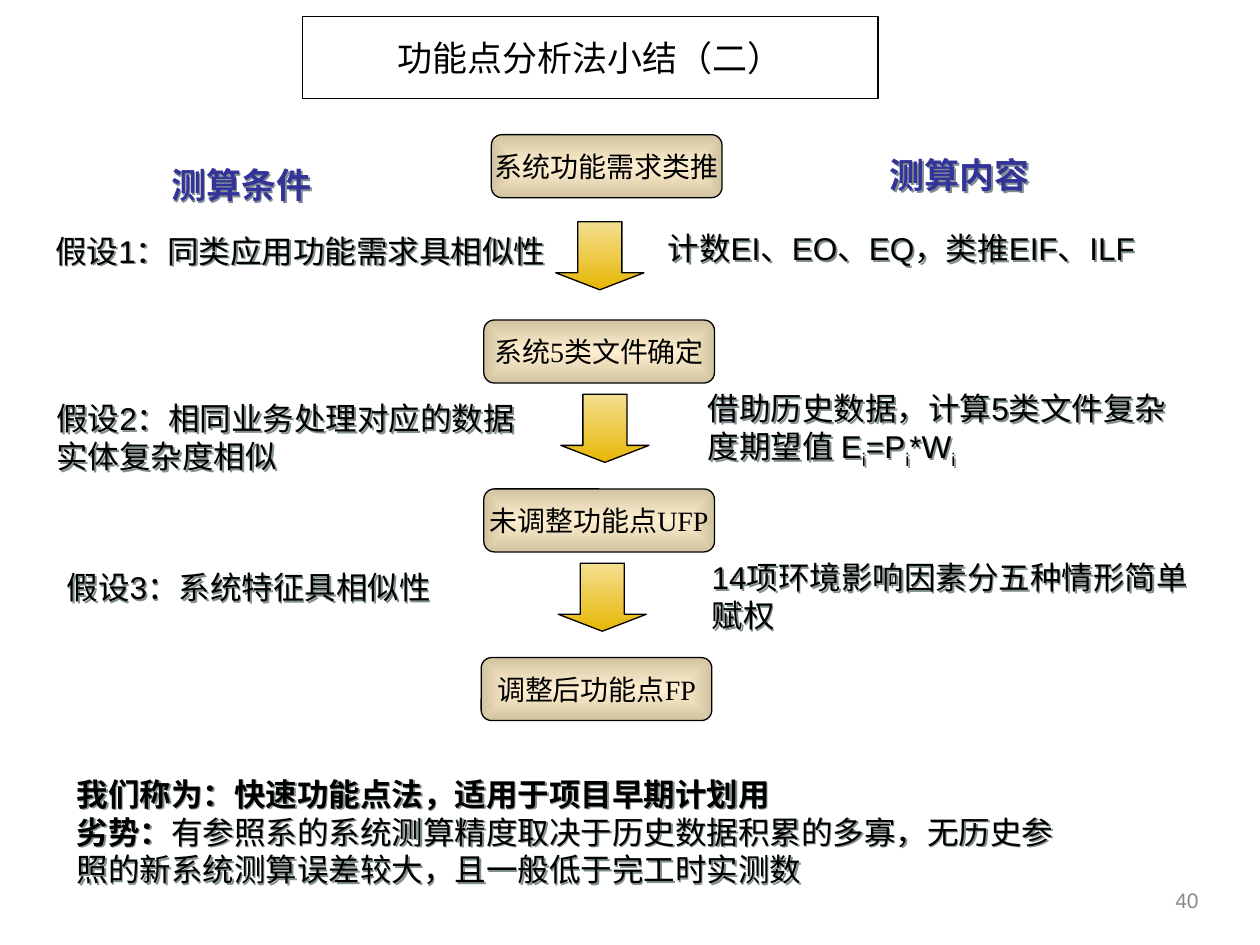
import pptx
import pptx.util
import pptx.oxml
import pptx.dml.color
import pptx.enum.shapes
import pptx.enum.text

Pt = pptx.util.Pt
SHAPES = pptx.enum.shapes.MSO_SHAPE
ALIGN = pptx.enum.text.PP_ALIGN
ANCHOR = pptx.enum.text.MSO_ANCHOR
AUTO_SIZE = pptx.enum.text.MSO_AUTO_SIZE
DRAWING = "http://schemas.openxmlformats.org/drawingml/2006/main"

THEME = {
    "ink": "000000", "heading": "333399", "number": "898989", "paper": "FFFFFF",
    "shadow": "808F8F",
    "step": ("FFEFD1", "D1C39F"), "arrow": ("F4DF91", "E7B705"),
    "body_font": "Arial", "step_font": "Times New Roman", "chinese_font": "Noto Sans CJK SC",
    "title_size": 20, "heading_size": 20, "body_size": 18, "step_size": 16, "number_size": 12,
    "line": 0.75,
}

TITLE = "功能点分析法小结（二）"
TITLE_BOX = (172.8, 9.4, 329, 46.8)
PAGE_NUMBER = "40"
PAGE_NUMBER_BOX = (524.2, 495.4, 167.8, 37.4)

STEP_SIZE = (131.8, 36)
STEPS = [
    ("系统功能需求类推", 280.8, 77),
    ("系统5类文件确定", 276.5, 182.9),
    ("未调整功能点UFP", 276.5, 279.4),
    ("调整后功能点FP", 275, 375.8),
]
ARROW_SIZE = (38.9, 50.4)
ARROWS = [(323.3, 121), (326.2, 219.6), (324.7, 316.1)]

HEADINGS = [
    ("测算条件", (90.7, 90, 94.3, 31.7)),
    ("测算内容", (501.1, 84.2, 94.3, 31.7)),
]
NOTES = [
    ([[("假设1：同类应用功能需求具相似性", "")]], (24.5, 128.9, 303.1, 28.8), False),
    ([[("计数EI、EO、EQ，类推EIF、ILF", "")]], (374.4, 127.4, 319.7, 28.8), False),
    ([[("假设2：相同业务处理对应的数据实体复杂度相似", "")]], (25.2, 224.6, 280.8, 50.4), True),
    ([[("借助历史数据，计算5类文件复杂", "")],
      [("度期望值 E", ""), ("i", "sub"), ("=P", ""), ("i", "sub"), ("*W", ""), ("i", "sub")]],
     (397.4, 218.9, 297.4, 53.3), True),
    ([[("假设3：系统特征具相似性", "")]], (31, 321.1, 280.8, 28.8), True),
    ([[("14项环境影响因素分五种情形简单赋权", "")]], (399.6, 315.4, 297.4, 50.4), True),
    ([[("我们称为：快速功能点法，适用于项目早期计划用", "bold")],
      [("劣势：", "bold"),
       ("有参照系的系统测算精度取决于历史数据积累的多寡，无历史参照的新系统测算误差较大，且一般低于完工时实测数", "")]],
     (36.7, 439.2, 572.4, 72), True),
]


def color(name):
    return pptx.dml.color.RGBColor.from_string(THEME[name])


def points(box):
    return [Pt(value) for value in box]


def write(shape, paragraphs, size, font, ink="ink", align=ALIGN.LEFT,
          anchor=ANCHOR.TOP, wrap=True):
    frame = shape.text_frame
    frame.word_wrap = wrap
    frame.vertical_anchor = anchor
    for index, runs in enumerate(paragraphs):
        paragraph = frame.add_paragraph() if index else frame.paragraphs[0]
        paragraph.alignment = align
        for text, style in runs:
            run = paragraph.add_run()
            run.text = text
            run.font.size = Pt(THEME[size])
            run.font.name = THEME[font]
            run.font.bold = style == "bold"
            run.font.color.rgb = color(ink)
            properties = run.font._element
            if style == "sub":
                properties.set("baseline", "-25000")
            east_asian = pptx.oxml.parse_xml(
                f'<a:ea xmlns:a="{DRAWING}" typeface="{THEME["chinese_font"]}"/>')
            properties.find(f"{{{DRAWING}}}latin").addnext(east_asian)


def add_shadowed_text(slide, paragraphs, box, size, ink="ink", wrap=True):
    shape = slide.shapes.add_textbox(*points(box))
    write(shape, paragraphs, size, "body_font", ink, wrap=wrap)
    shape.text_frame.auto_size = AUTO_SIZE.SHAPE_TO_FIT_TEXT
    shape._element.spPr.append(pptx.oxml.parse_xml(
        f'<a:effectLst xmlns:a="{DRAWING}"><a:outerShdw dist="17961" dir="2700000">'
        f'<a:srgbClr val="{THEME["shadow"]}"/></a:outerShdw></a:effectLst>'))


def add_outlined_shape(slide, kind, box):
    shape = slide.shapes.add_shape(kind, *points(box))
    shape.shadow.inherit = False
    shape.line.color.rgb = color("ink")
    shape.line.width = Pt(THEME["line"])
    return shape


def fill_gradient(shape, name, direction):
    start, end = THEME[name]
    gradient = pptx.oxml.parse_xml(
        f'<a:gradFill xmlns:a="{DRAWING}" rotWithShape="0"><a:gsLst>'
        f'<a:gs pos="0"><a:srgbClr val="{start}"/></a:gs>'
        f'<a:gs pos="100000"><a:srgbClr val="{end}"/></a:gs></a:gsLst>{direction}</a:gradFill>')
    shape._element.spPr.find(f"{{{DRAWING}}}prstGeom").addnext(gradient)


def main():
    presentation = pptx.Presentation()
    presentation.slide_width, presentation.slide_height = Pt(720), Pt(540)
    slide = presentation.slides.add_slide(presentation.slide_layouts[6])

    number = slide.shapes.add_textbox(*points(PAGE_NUMBER_BOX))
    write(number, [[(PAGE_NUMBER, "")]], "number_size", "body_font", "number",
          ALIGN.RIGHT, ANCHOR.MIDDLE)

    title = add_outlined_shape(slide, SHAPES.RECTANGLE, TITLE_BOX)
    title.fill.solid()
    title.fill.fore_color.rgb = color("paper")
    write(title, [[(TITLE, "")]], "title_size", "chinese_font", "ink",
          ALIGN.CENTER, ANCHOR.MIDDLE)

    for text, left, top in STEPS:
        step = add_outlined_shape(slide, SHAPES.ROUNDED_RECTANGLE, (left, top, *STEP_SIZE))
        fill_gradient(step, "step", '<a:path path="rect"><a:fillToRect l="50000" t="50000" '
                                    'r="50000" b="50000"/></a:path>')
        write(step, [[(text, "")]], "step_size", "step_font", "ink",
              ALIGN.CENTER, ANCHOR.MIDDLE, wrap=False)

    for left, top in ARROWS:
        arrow = add_outlined_shape(slide, SHAPES.RIGHT_ARROW, (left, top, *ARROW_SIZE))
        arrow.rotation = 90
        arrow.adjustments[0], arrow.adjustments[1] = 0.5, 0.25
        fill_gradient(arrow, "arrow", '<a:lin ang="5400000" scaled="1"/>')

    for text, box in HEADINGS:
        add_shadowed_text(slide, [[(text, "bold")]], box, "heading_size", "heading", wrap=False)
    for paragraphs, box, wrap in NOTES:
        add_shadowed_text(slide, paragraphs, box, "body_size", wrap=wrap)

    presentation.save("out.pptx")


if __name__ == "__main__":
    main()
